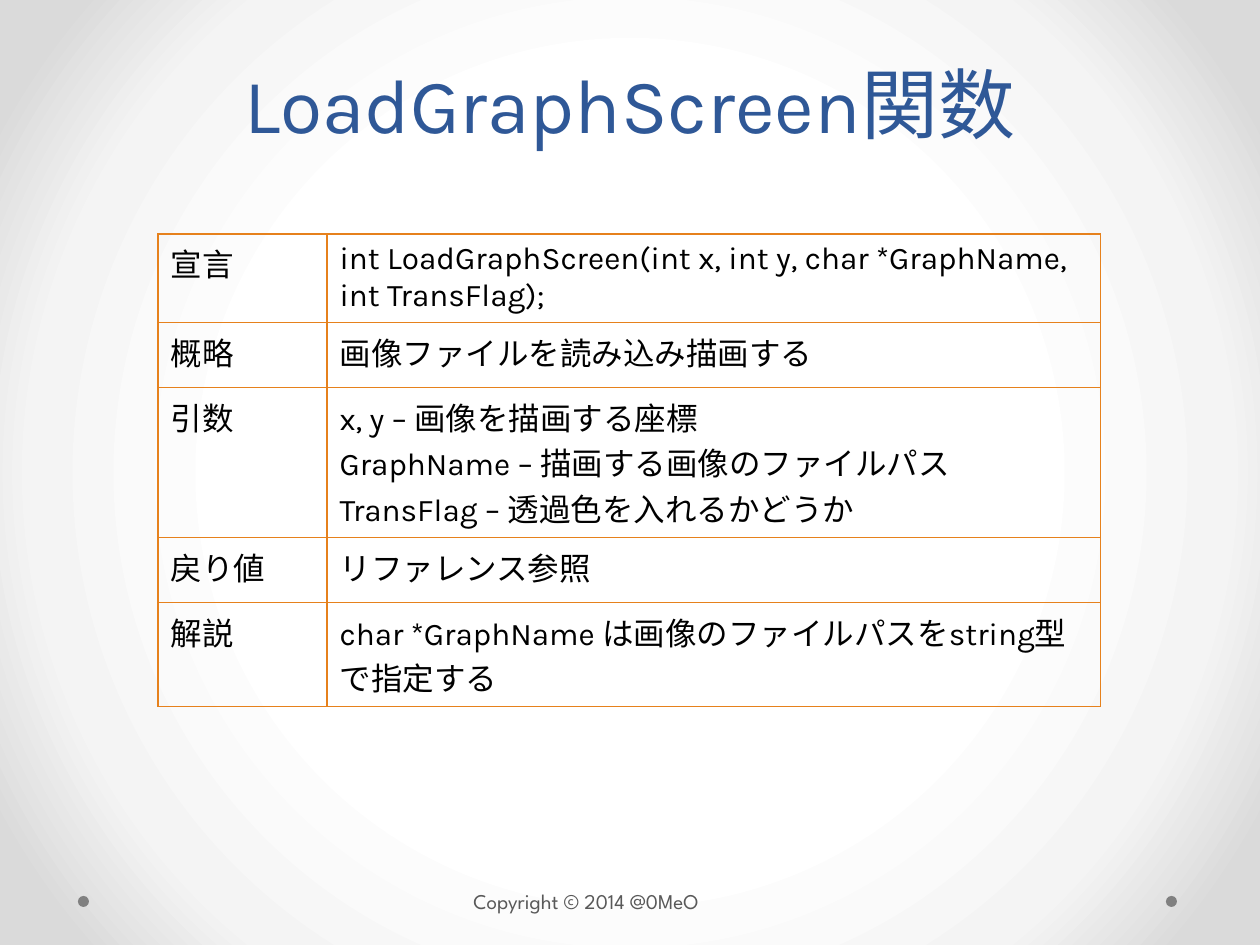
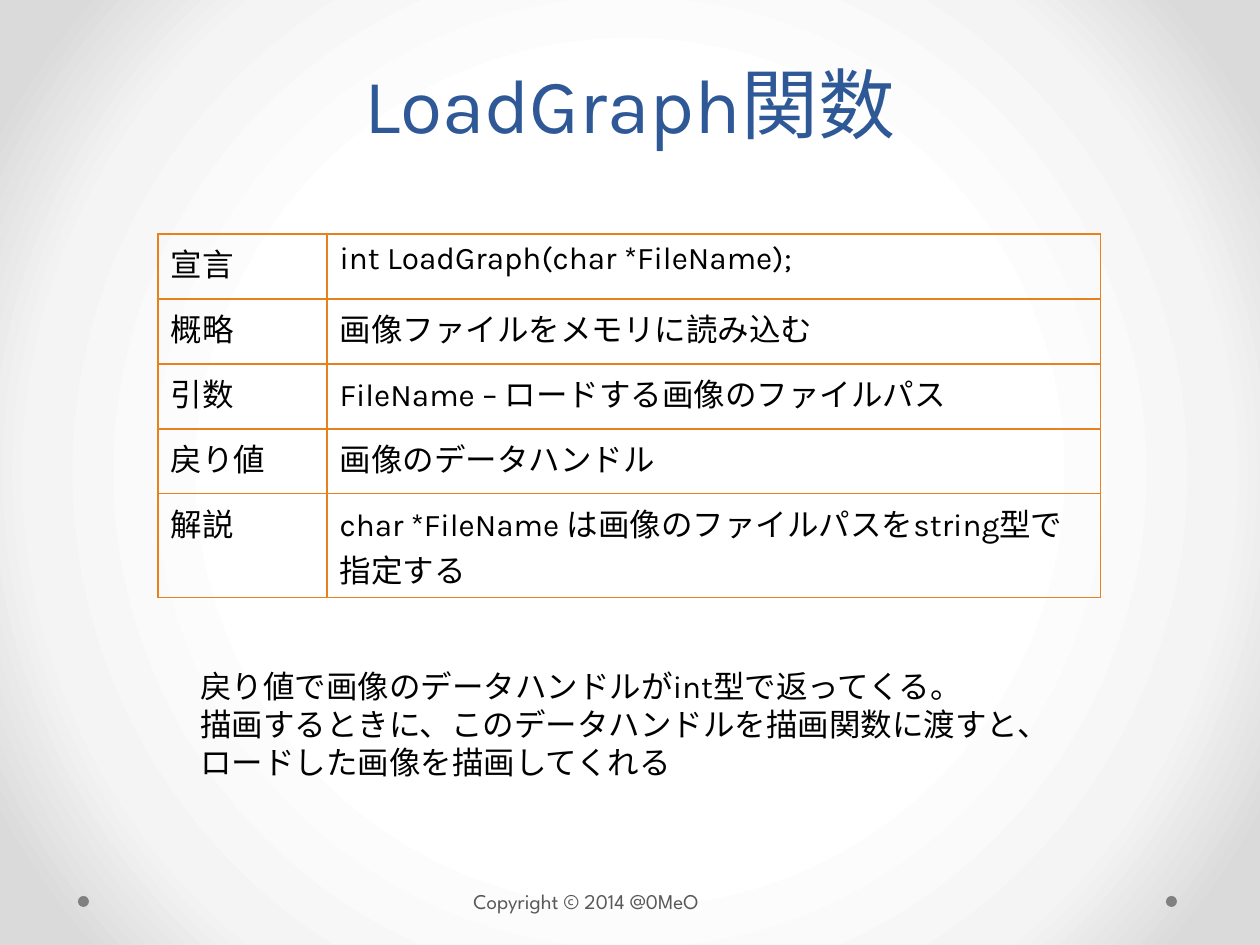
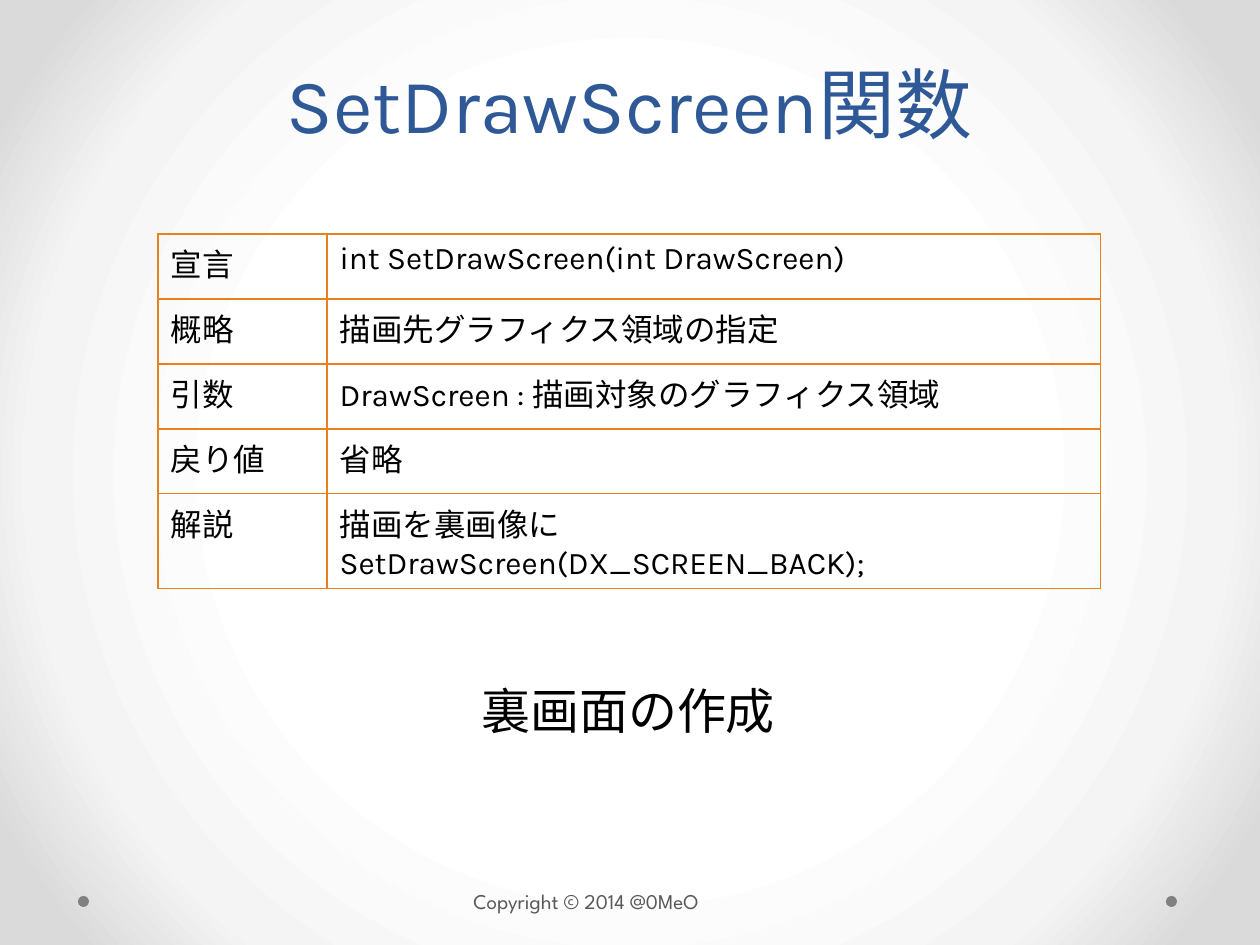
from lxml import etree
from pptx import Presentation
from pptx.dml.color import RGBColor
from pptx.enum.shapes import MSO_SHAPE
from pptx.enum.text import MSO_ANCHOR, MSO_AUTO_SIZE, PP_ALIGN
from pptx.oxml import parse_xml
from pptx.oxml.ns import nsdecls, qn
from pptx.util import Pt

EMU_PER_PX = 914400 / 126

BLUE = RGBColor(0x2F, 0x58, 0x97)
ORANGE = RGBColor(0xE6, 0x81, 0x1C)
BLACK = RGBColor(0x00, 0x00, 0x00)
DOT_GRAY = RGBColor(0x80, 0x80, 0x80)
FOOTER_GRAY = RGBColor(0x59, 0x59, 0x59)
BACKGROUND_STOPS = [
    (50, RGBColor(0xFF, 0xFF, 0xFF)),
    (76, RGBColor(0xF4, 0xF4, 0xF4)),
    (92, RGBColor(0xDA, 0xDA, 0xDA)),
]

TITLE_FONT = {"name": "Karla", "size": Pt(44), "color": BLUE}
BODY_FONT = {"name": "Karla", "size": Pt(18), "color": BLACK}
CAPTION_FONT = {"name": "Karla", "size": Pt(28), "color": BLACK}
FOOTER_FONT = {"name": "League Spartan", "size": Pt(12), "color": FOOTER_GRAY}

HEADINGS = ["宣言", "概略", "引数", "戻り値", "解説"]
COLUMN_WIDTHS = [169, 774]
ROW_HEIGHT = 65

FUNCTIONS = [
    {
        "title": "LoadGraphScreen関数",
        "details": [
            "int LoadGraphScreen(int x, int y, char *GraphName, int TransFlag);",
            "画像ファイルを読み込み描画する",
            "x, y – 画像を描画する座標\n"
            "GraphName – 描画する画像のファイルパス\n"
            "TransFlag – 透過色を入れるかどうか",
            "リファレンス参照",
            "char *GraphName は画像のファイルパスをstring型で指定する",
        ],
        "tall_rows": {"宣言": 86, "引数": 150, "解説": 104},
    },
    {
        "title": "LoadGraph関数",
        "details": [
            "int LoadGraph(char *FileName);",
            "画像ファイルをメモリに読み込む",
            "FileName – ロードする画像のファイルパス",
            "画像のデータハンドル",
            "char *FileName は画像のファイルパスをstring型で指定する",
        ],
        "tall_rows": {"解説": 104},
        "remark": (
            "戻り値で画像のデータハンドルがint型で返ってくる。\n"
            "描画するときに、このデータハンドルを描画関数に渡すと、\n"
            "ロードした画像を描画してくれる",
            (188, 661, 885, 127), BODY_FONT,
        ),
    },
    {
        "title": "SetDrawScreen関数",
        "details": [
            "int SetDrawScreen(int DrawScreen)",
            "描画先グラフィクス領域の指定",
            "DrawScreen : 描画対象のグラフィクス領域",
            "省略",
            "描画を裏画像に\nSetDrawScreen(DX_SCREEN_BACK);",
        ],
        "tall_rows": {"解説": 95},
        "remark": ("裏画面の作成", (469, 674, 323, 72), CAPTION_FONT),
    },
]


def px(length):
    return round(length * EMU_PER_PX)


def write(frame, text, font_format):
    """Fill a text frame, one paragraph for each line of text."""
    frame.text = text
    for paragraph in frame.paragraphs:
        for run in paragraph.runs:
            for attribute, value in font_format.items():
                if attribute == "color":
                    run.font.color.rgb = value
                else:
                    setattr(run.font, attribute, value)


def set_radial_background(master):
    fill = master.background.fill
    fill.solid()
    stops = "".join(
        f'<a:gs pos="{position * 1000}"><a:srgbClr val="{color}"/></a:gs>'
        for position, color in BACKGROUND_STOPS
    )
    gradient = parse_xml(
        f'<a:gradFill {nsdecls("a")} rotWithShape="1"><a:gsLst>{stops}</a:gsLst>'
        '<a:path path="circle"><a:fillToRect l="50000" t="50000" r="50000" b="50000"/>'
        "</a:path></a:gradFill>"
    )
    solid = next(master.element.iter(qn("a:solidFill")))
    solid.getparent().replace(solid, gradient)


def set_title(slide, text):
    title = slide.shapes.title
    title.left, title.top, title.width, title.height = map(px, (63, 30, 1134, 125))
    frame = title.text_frame
    frame.auto_size = MSO_AUTO_SIZE.NONE
    frame.vertical_anchor = MSO_ANCHOR.BOTTOM
    write(frame, text, TITLE_FONT)
    frame.paragraphs[0].alignment = PP_ALIGN.CENTER
    frame.paragraphs[0].line_spacing = Pt(58)


def add_label(slide, text, bounds, font_format):
    frame = slide.shapes.add_textbox(*map(px, bounds)).text_frame
    frame.word_wrap = False
    frame.auto_size = MSO_AUTO_SIZE.SHAPE_TO_FIT_TEXT
    write(frame, text, font_format)


def add_footer(slide):
    for left in (1166, 78):
        dot = slide.shapes.add_shape(MSO_SHAPE.OVAL, *map(px, (left, 896, 11, 11)))
        dot.shadow.inherit = False
        dot.fill.solid()
        dot.fill.fore_color.rgb = DOT_GRAY
        dot.line.fill.background()
    add_label(slide, "Copyright © 2014 @0MeO", (461, 882, 290, 38), FOOTER_FONT)


def outline_cell(cell):
    properties = cell._tc.get_or_add_tcPr()
    for index, side in enumerate(("lnL", "lnR", "lnT", "lnB")):
        border = etree.Element(qn(f"a:{side}"), w=str(Pt(0.75)))
        fill = etree.SubElement(border, qn("a:solidFill"))
        etree.SubElement(fill, qn("a:srgbClr"), val=str(ORANGE))
        properties.insert(index, border)


def add_reference_table(slide, details, tall_rows):
    """Add the table of headings and details; tall_rows maps headings to heights."""
    heights = [tall_rows.get(heading, ROW_HEIGHT) for heading in HEADINGS]
    bounds = (158, 234, sum(COLUMN_WIDTHS), sum(heights))
    table = slide.shapes.add_table(
        len(HEADINGS), len(COLUMN_WIDTHS), *map(px, bounds)
    ).table
    table.first_row = table.horz_banding = False
    for column, width in zip(table.columns, COLUMN_WIDTHS):
        column.width = px(width)
    for row, height, texts in zip(table.rows, heights, zip(HEADINGS, details)):
        row.height = px(height)
        for cell, text in zip(row.cells, texts):
            write(cell.text_frame, text, BODY_FONT)
            cell.fill.background()
            outline_cell(cell)


def main():
    deck = Presentation()
    deck.slide_width, deck.slide_height = px(1260), px(945)
    set_radial_background(deck.slide_master)
    title_only = deck.slide_layouts[5]
    for function in FUNCTIONS:
        slide = deck.slides.add_slide(title_only)
        add_footer(slide)
        set_title(slide, function["title"])
        add_reference_table(slide, function["details"], function["tall_rows"])
        if "remark" in function:
            add_label(slide, *function["remark"])
    deck.save("out.pptx")


if __name__ == "__main__":
    main()
